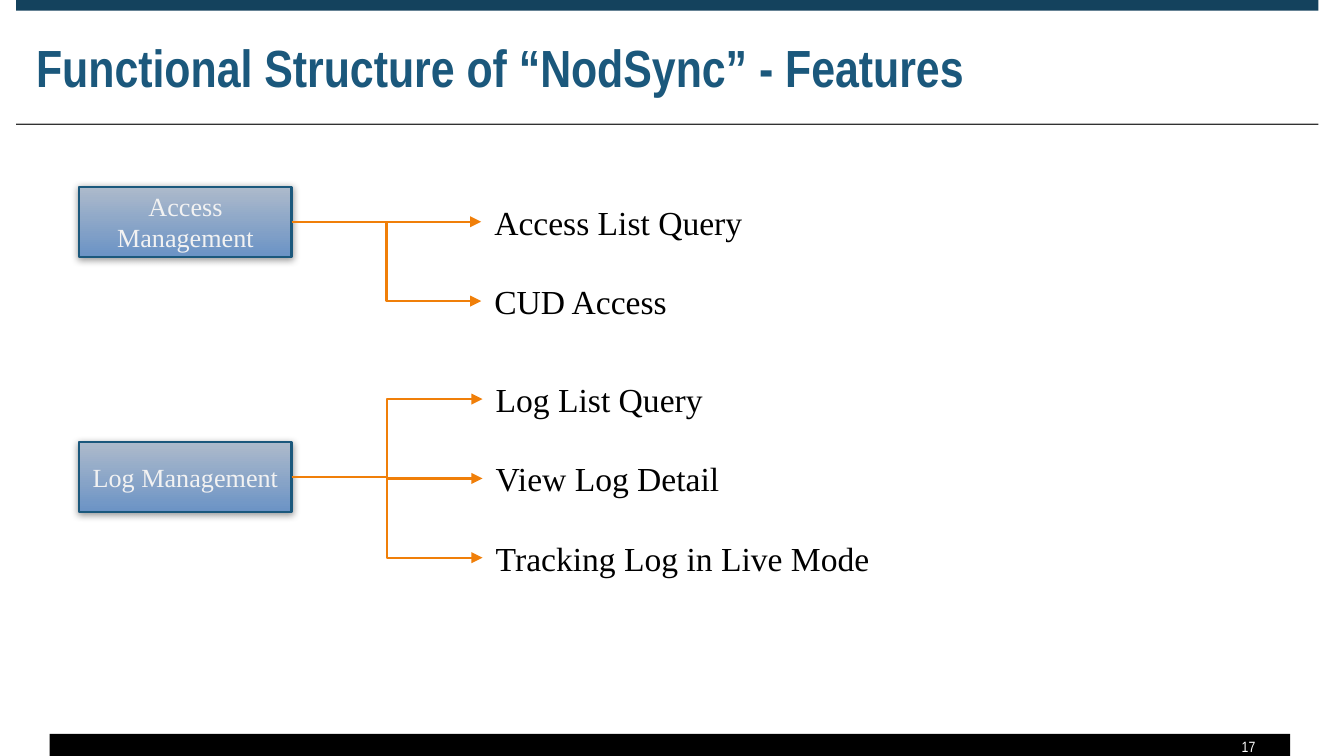
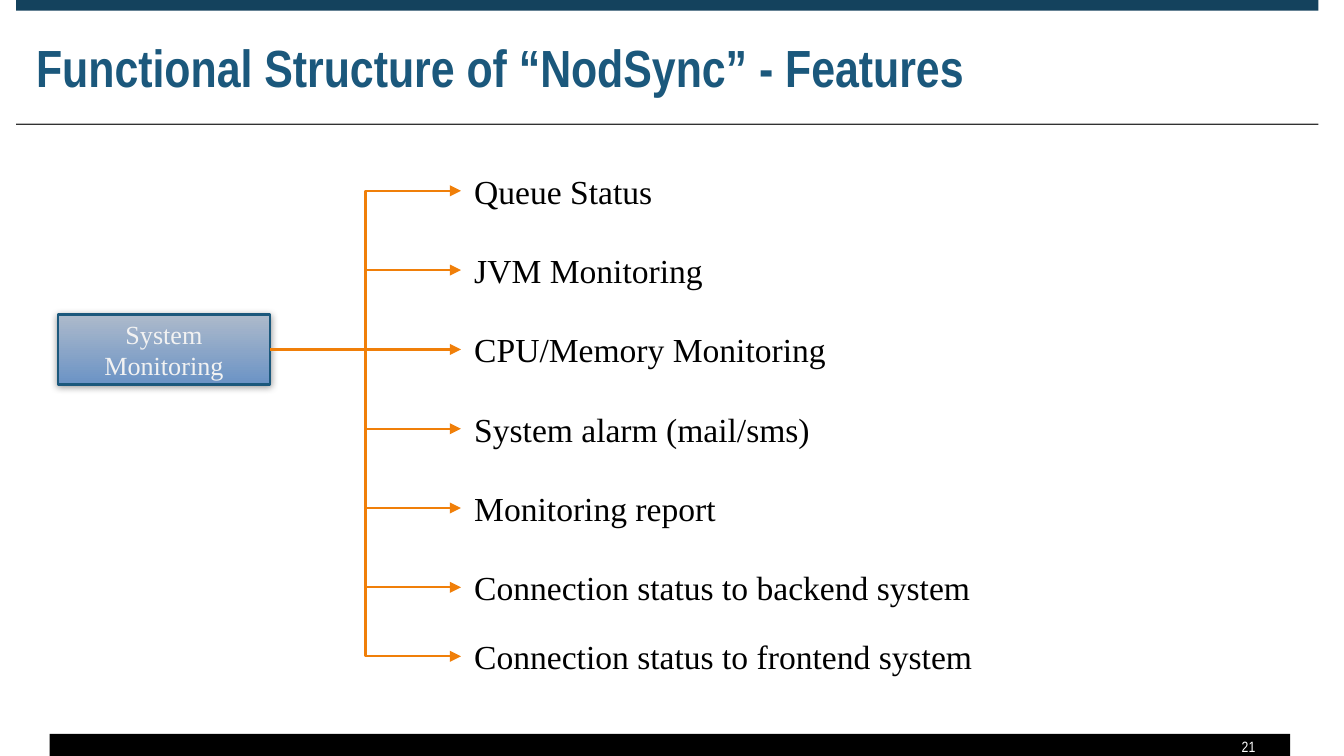
import pptx
import pptx.util
import pptx.dml.color
import pptx.enum.dml
import pptx.enum.shapes
import pptx.enum.text
import pptx.oxml
import lxml.etree

INCH = pptx.util.Inches
SHAPE = pptx.enum.shapes.MSO_SHAPE.RECTANGLE
ELBOW = pptx.enum.shapes.MSO_CONNECTOR.ELBOW
ALIGN = pptx.enum.text.PP_ALIGN
ANCHOR = pptx.enum.text.MSO_ANCHOR
FIT = pptx.enum.text.MSO_AUTO_SIZE

NS = "http://schemas.openxmlformats.org/drawingml/2006/main"
SHADE = (f'<a:effectLst xmlns:a="{NS}"><a:outerShdw blurRad="50800" dist="12700" '
         'dir="5280000" rotWithShape="0"><a:srgbClr val="000000">'
         '<a:alpha val="40000"/></a:srgbClr></a:outerShdw></a:effectLst>')

BLUE, ORANGE = "1B587C", "F07F09"
HEAD, BODY = "Arial Narrow", "Times New Roman"
TITLE = "Functional Structure of “NodSync” - Features"
ROW = 0.59            # pitch of the feature rows
BOX = (1.58, 0.52)    # size of a module box
LABEL = 0.4           # height of a feature label

# left, top, width, height, colour
BANDS = [
    (0.37, 5.46, 9.23, 0.19, "000000"),
    (0.12, 0, 9.69, 0.08, "14425D"),
    (0.12, 0.92, 9.69, 0.01, "323232"),
]

# page number, then modules: name, box corner, corner of first label,
# features as (text, width, row)
PAGES = [
    ("17", [
        ("Access Management", (0.59, 1.39), (3.58, 1.45), [
            ("Access List Query", 2.07, 0),
            ("CUD Access", 1.5, 1)]),
        ("Log Management", (0.59, 3.29), (3.59, 2.77), [
            ("Log List Query", 1.76, 0),
            ("View Log Detail", 1.88, 1),
            ("Tracking Log in Live Mode", 3.01, 2)]),
    ]),
    ("21", [
        ("System Monitoring", (0.43, 2.34), (3.43, 1.22), [
            ("Queue Status", 1.54, 0),
            ("JVM Monitoring", 1.92, 1),
            ("CPU/Memory Monitoring", 2.85, 2),
            ("System alarm (mail/sms)", 2.73, 3),
            ("Monitoring report", 2.02, 4),
            ("Connection status to backend system", 3.93, 5),
            ("Connection status to frontend system", 3.95, 5.87)]),
    ]),
]


def tint(code):
    return pptx.dml.color.RGBColor.from_string(code)


def write(shape, text, size=18, font=BODY, color="000000", bold=False,
          align=ALIGN.LEFT, anchor=ANCHOR.TOP, wrap=True, fit=FIT.NONE):
    frame = shape.text_frame
    frame.word_wrap = wrap
    frame.auto_size = fit
    frame.vertical_anchor = anchor
    para = frame.paragraphs[0]
    para.alignment = align
    run = para.add_run()
    run.text = text
    run.font.size = pptx.util.Pt(size)
    run.font.name = font
    run.font.bold = bold
    run.font.color.rgb = tint(color)


deck = pptx.Presentation()
deck.slide_width = INCH(10)
deck.slide_height = deck.slide_width * 9 // 16

for number, modules in PAGES:
    slide = deck.slides.add_slide(deck.slide_layouts[6])
    shapes = slide.shapes

    for *place, color in BANDS:
        band = shapes.add_shape(SHAPE, *map(INCH, place))
        band.shadow.inherit = False
        band.fill.solid()
        band.fill.fore_color.rgb = tint(color)
        band.line.fill.background()

    title = shapes.add_textbox(*map(INCH, (0.17, 0.2, 9.61, 0.58)))
    write(title, TITLE, size=28, font=HEAD, color=BLUE, bold=True,
          anchor=ANCHOR.BOTTOM)
    folio = shapes.add_textbox(*map(INCH, (8.61, 5.46, 0.83, 0.19)))
    write(folio, number, size=8, font=HEAD, color="FFFFFF",
          align=ALIGN.RIGHT, anchor=ANCHOR.MIDDLE)

    for name, corner, (left, top), features in modules:
        box = shapes.add_shape(SHAPE, *map(INCH, corner + BOX))
        box.fill.gradient()
        box.fill.gradient_angle = 270
        for stop, color in zip(box.fill.gradient_stops, ("ADBACB", "6B93C5")):
            stop.color.rgb = tint(color)
        box.line.color.rgb = tint(BLUE)
        box.line.width = pptx.util.Pt(1.25)
        box._element.spPr.append(pptx.oxml.parse_xml(SHADE))
        write(box, name, size=14, color="F2F2F2", align=ALIGN.CENTER,
              anchor=ANCHOR.MIDDLE)

        for text, width, row in features:
            label = shapes.add_textbox(INCH(left), INCH(top + row * ROW),
                                       INCH(width), INCH(LABEL))
            write(label, text, wrap=False, fit=FIT.SHAPE_TO_FIT_TEXT)

            arrow = shapes.add_connector(ELBOW, 0, 0, 0, 0)
            arrow.begin_connect(box, 3)
            arrow.end_connect(label, 1)
            arrow.line.color.rgb = tint(ORANGE)
            arrow.line.width = pptx.util.Pt(1.25)
            line = arrow.line._get_or_add_ln()
            lxml.etree.SubElement(line, f"{{{NS}}}tailEnd", type="triangle")
            lxml.etree.SubElement(arrow._element.spPr, f"{{{NS}}}effectLst")

deck.save("out.pptx")
